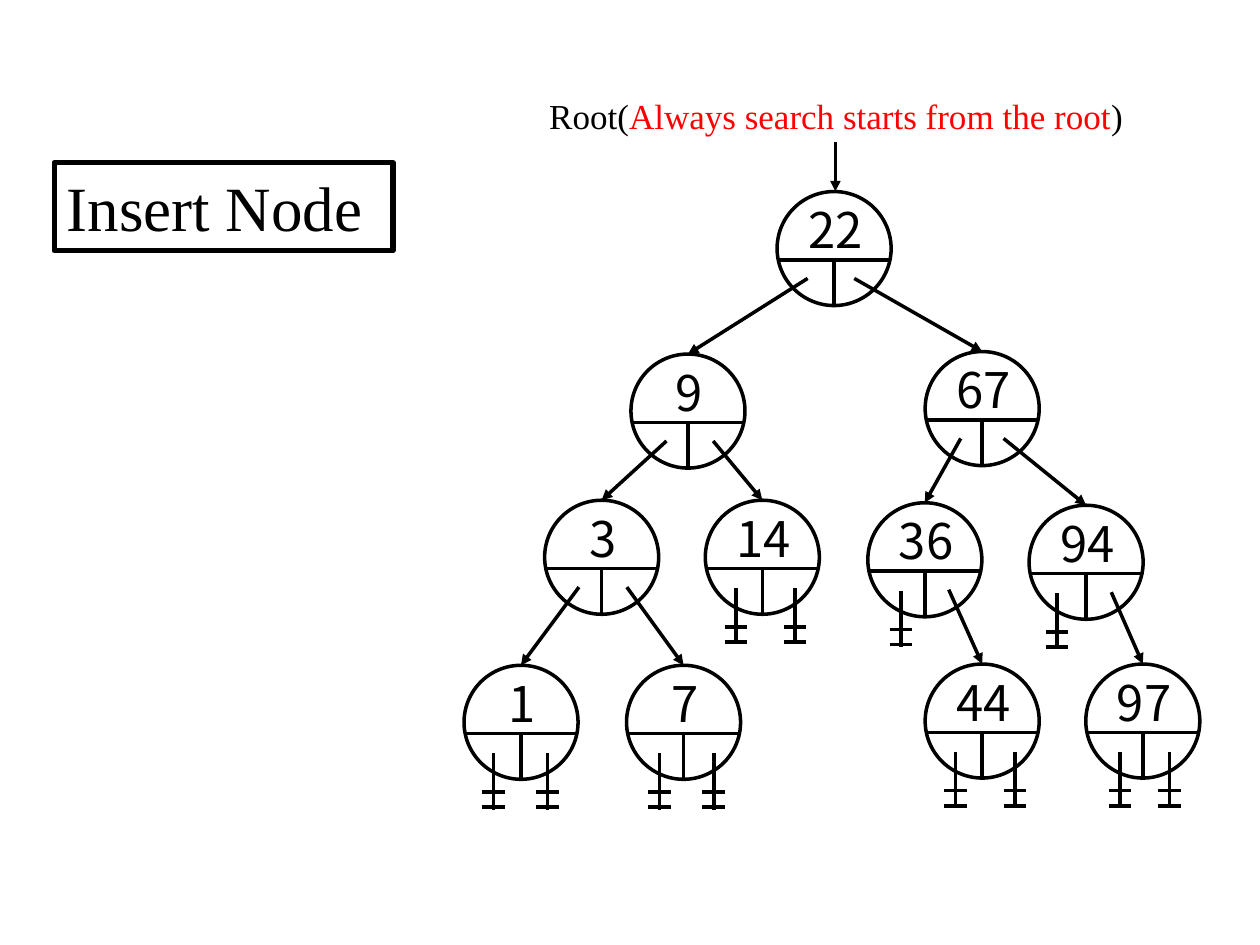
import pptx
import pptx.dml.color
import pptx.enum.shapes
import pptx.enum.text
import pptx.oxml.ns
import pptx.util
from lxml import etree
from typing import NamedTuple

BLACK = pptx.dml.color.RGBColor(0, 0, 0)
RED = pptx.dml.color.RGBColor(255, 0, 0)
COLS, ROWS = 100, 75  # slide grid
NODE = 9.05  # node diameter in columns
SPLIT = 5.43  # key compartment height in rows
POINTER = 6.9  # top of a pointer below the node top


class Node(NamedTuple):
    key: int
    x: float  # centre column
    y: float  # top row
    dx: tuple  # offsets of the left and right pointers
    children: tuple = (None, None)


TREE = [
    Node(22, 66.2, 15.2, (-2.1, 1.6), (9, 67)),
    Node(9, 54.6, 28.1, (-1.7, 2), (3, 14)),
    Node(67, 77.95, 27.9, (-1.7, 1.7), (36, 94)),
    Node(3, 47.75, 39.7, (-1.8, 2), (1, 7)),
    Node(14, 60.5, 39.7, (-2.1, 2.6)),
    Node(36, 73.4, 39.9, (-1.9, 1.9), (None, 44)),
    Node(94, 86.2, 40.1, (-2.3, 2), (None, 97)),
    Node(1, 41.35, 52.8, (-2.2, 2.1)),
    Node(7, 54.25, 52.8, (-1.9, 2.4)),
    Node(44, 77.95, 52.7, (-2.1, 2.6)),
    Node(97, 90.7, 52.7, (-1.8, 2.1)),
]


class Deck:
    font, label_font = "Times New Roman", "Noto Sans CJK KR"
    line_width = pptx.util.Pt(2)

    def __init__(self):
        self.prs = pptx.Presentation()
        self.prs.slide_width = pptx.util.Inches(10)
        self.prs.slide_height = pptx.util.Inches(7.5)
        self.s = self.prs.slides.add_slide(self.prs.slide_layouts[5])

    def grid(self, x, y):
        return (round(x * self.prs.slide_width / COLS),
                round(y * self.prs.slide_height / ROWS))

    def title(self, text, x, y, w, h):
        sp = self.s.shapes.title
        sp.left, sp.top = self.grid(x, y)
        sp.width, sp.height = self.grid(w, h)
        sp.line.color.rgb, sp.line.width = BLACK, pptx.util.Pt(3)
        tf = sp.text_frame
        tf.text = text
        tf.auto_size = pptx.enum.text.MSO_AUTO_SIZE.NONE
        tf.vertical_anchor = pptx.enum.text.MSO_ANCHOR.MIDDLE
        p = tf.paragraphs[0]
        p.alignment = pptx.enum.text.PP_ALIGN.LEFT
        p.space_before = pptx.util.Pt(9)
        p.font.name, p.font.size = self.font, pptx.util.Pt(36)
        p.font.color.rgb = BLACK

    def text(self, parent, runs, x, y, w, h, font, size):
        sp = parent.shapes.add_textbox(*self.grid(x, y), *self.grid(w, h))
        sp.text_frame.word_wrap = False
        p = sp.text_frame.paragraphs[0]
        p.alignment = pptx.enum.text.PP_ALIGN.CENTER
        p.font.name, p.font.size = font, pptx.util.Pt(size)
        for words, color in runs:
            r = p.add_run()
            r.text = words
            r.font.color.rgb = color

    def line(self, parent, x1, y1, x2, y2, arrow=False):
        c = parent.shapes.add_connector(
            pptx.enum.shapes.MSO_CONNECTOR.STRAIGHT,
            *self.grid(x1, y1), *self.grid(x2, y2))
        c.line.color.rgb, c.line.width = BLACK, self.line_width
        if arrow:
            etree.SubElement(c.line._get_or_add_ln(),
                             pptx.oxml.ns.qn("a:tailEnd"), type="triangle")
        etree.SubElement(c._element.spPr, pptx.oxml.ns.qn("a:effectLst"))

    def node(self, n):
        g = self.s.shapes.add_group_shape()
        left, right = n.x - NODE / 2, n.x + NODE / 2
        sp = g.shapes.add_shape(pptx.enum.shapes.MSO_SHAPE.OVAL,
                                *self.grid(left, n.y), *self.grid(NODE, NODE))
        sp.shadow.inherit = False
        sp.fill.background()
        sp.line.color.rgb, sp.line.width = BLACK, self.line_width
        self.line(g, left, n.y + SPLIT, right, n.y + SPLIT)
        self.line(g, n.x, n.y + NODE, n.x, n.y + SPLIT)
        self.text(g, [(str(n.key), BLACK)], n.x - 3.1, n.y + 0.15, 6.4, 5.7,
                  self.label_font, 28)

    def null(self, x, y):
        g = self.s.shapes.add_group_shape()
        self.line(g, x, y, x, y + 4.45)
        for bar in (3.05, 4.25):
            self.line(g, x - 0.9, y + bar, x + 0.9, y + bar)


def main():
    d = Deck()

    # Title, caption and root pointer
    d.title("Insert Node", 4.3, 12.9, 26.9, 7)
    d.text(d.s, [("Root(", BLACK), ("Always search starts from the root", RED),
                 (")", BLACK)], 42.6, 7, 47.5, 4.4, d.font, 20)
    root = TREE[0]
    d.line(d.s, root.x + 0.1, 11.3, root.x + 0.1, root.y, arrow=True)

    # Nodes
    for n in TREE:
        d.node(n)

    # Pointers to children, or null marks
    nodes = {n.key: n for n in TREE}
    for n in TREE:
        for dx, key in zip(n.dx, n.children):
            x, y = n.x + dx, n.y + POINTER
            if key is None:
                d.null(x, y + 0.1)
            else:
                d.line(d.s, x, y, nodes[key].x, nodes[key].y, arrow=True)

    d.prs.save("out.pptx")


if __name__ == "__main__":
    main()
